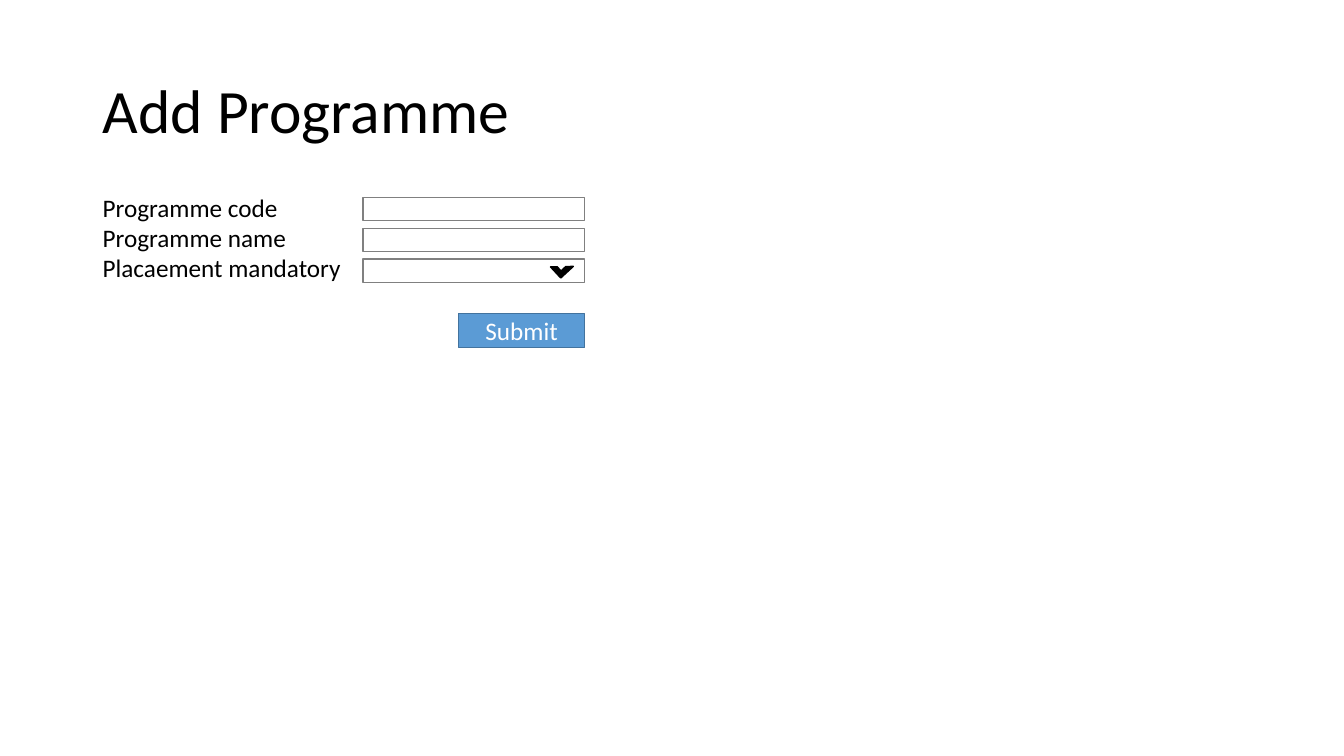
from pptx import Presentation
from pptx.dml.color import RGBColor
from pptx.enum.shapes import MSO_SHAPE as SHAPE
from pptx.enum.text import MSO_ANCHOR as ANCHOR, MSO_AUTO_SIZE as AUTO, PP_ALIGN as ALIGN
from pptx.util import Pt

TITLE = "Add Programme"
LABELS = ["Programme code", "Programme name", "Placaement mandatory"]
BUTTON = "Submit"

FONT = "Calibri"
BLACK, WHITE, GREY = "000000", "FFFFFF", "808080"
BLUE, DARK_BLUE = "5B9BD5", "43739E"

LEFT, LABEL_TOP = 66.24, 133.2
FIELD_LEFT, FIELD_TOP, FIELD_W, FIELD_H = 259.2, 141.12, 158.4, 16.56
FIELD_STEP = 22
BUTTON_TOP, BUTTON_W, BUTTON_H = 223.92, 90, 24.48


def rgb(value):
    return RGBColor.from_string(value)


def write(sp, lines, size, color, align=ALIGN.LEFT, spacing=1.0):
    tf = sp.text_frame
    tf.word_wrap = True
    tf.vertical_anchor = ANCHOR.MIDDLE
    tf.auto_size = AUTO.NONE
    tf.text = "\n".join(lines)
    for p in tf.paragraphs:
        p.alignment = align
        p.line_spacing = spacing
        p.font.name = FONT
        p.font.size = Pt(size)
        p.font.color.rgb = rgb(color)


def add_box(s, x, y, w, h, fill, line=None, kind=SHAPE.RECTANGLE):
    sp = s.shapes.add_shape(kind, Pt(x), Pt(y), Pt(w), Pt(h))
    sp.shadow.inherit = False
    sp.fill.solid()
    sp.fill.fore_color.rgb = rgb(fill)
    if line:
        sp.line.color.rgb = rgb(line)
        sp.line.width = Pt(1)
    else:
        sp.line.fill.background()
    return sp


prs = Presentation()
prs.slide_width, prs.slide_height = Pt(960), Pt(540)
s = prs.slides.add_slide(prs.slide_layouts[5])

title = s.shapes.title
title.left, title.top, title.width, title.height = Pt(LEFT), Pt(28.8), Pt(828), Pt(104.4)
write(title, [TITLE], 44, BLACK, spacing=0.9)

labels = add_box(s, LEFT, LABEL_TOP, 188.64, 72.72, WHITE)
write(labels, LABELS, 18, BLACK)
labels.text_frame.auto_size = AUTO.SHAPE_TO_FIT_TEXT

for row in range(len(LABELS)):
    add_box(s, FIELD_LEFT, FIELD_TOP + row * FIELD_STEP, FIELD_W, FIELD_H, WHITE, GREY)

button_left = FIELD_LEFT + FIELD_W - BUTTON_W
button = add_box(s, button_left, BUTTON_TOP, BUTTON_W, BUTTON_H, BLUE, DARK_BLUE)
write(button, [BUTTON], 18, WHITE, ALIGN.CENTER)

arrow = add_box(s, 396, 184.32, 10.8, 12.24, BLACK, BLACK, SHAPE.HALF_FRAME)
arrow.rotation = 227.3

prs.save("out.pptx")
